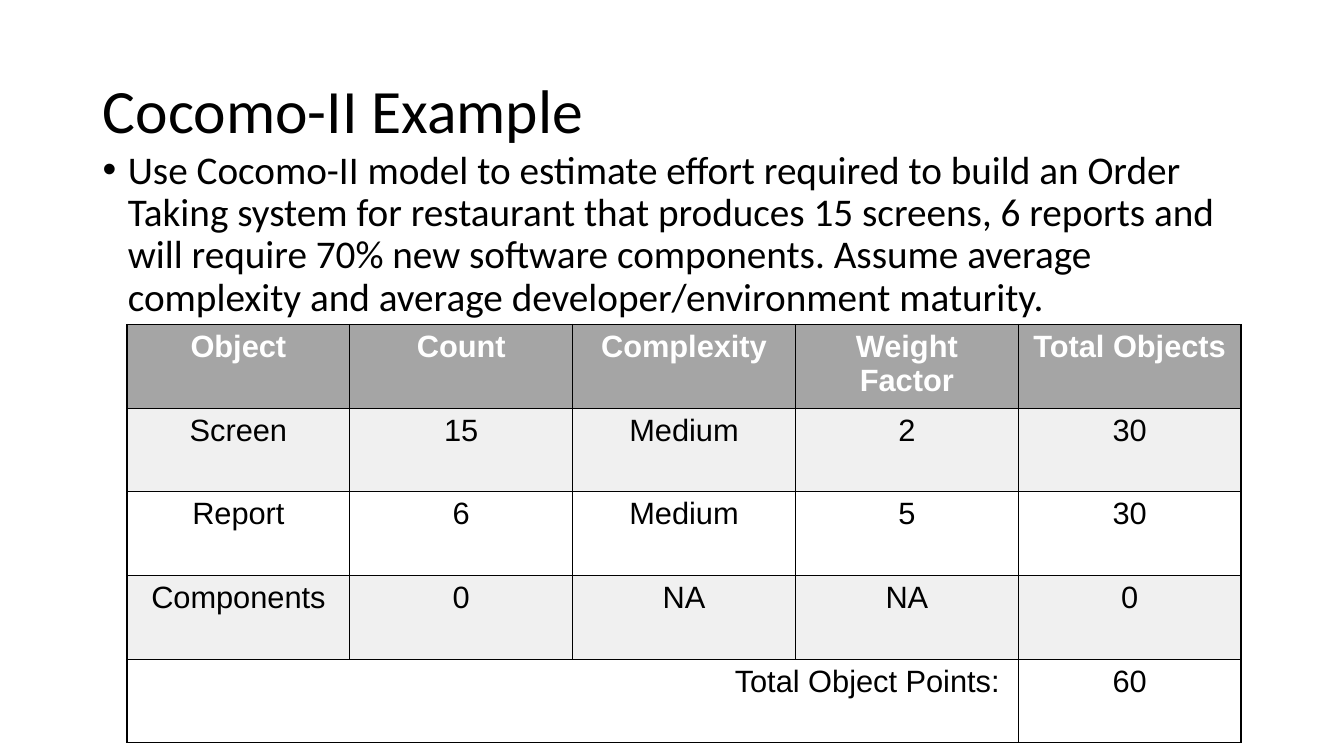
from dataclasses import dataclass

from lxml import etree
from pptx import Presentation
from pptx.dml.color import RGBColor
from pptx.enum import text
from pptx.oxml import ns
from pptx.util import Inches, Pt

TITLE = "Cocomo-II Example"
TASK = (
    "Use Cocomo-II model to estimate effort required to build an Order Taking system "
    "for restaurant that produces 15 screens, 6 reports and will require 70% new "
    "software components. Assume average complexity and average "
    "developer/environment maturity."
)
HEADER = ["Object", "Count", "Complexity", "Weight Factor", "Total Objects"]
OBJECTS = [
    ["Screen", "15", "Medium", "2", "30"],
    ["Report", "6", "Medium", "5", "30"],
    ["Components", "0", "NA", "NA", "0"],
]
TOTAL = ["Total Object Points: ", "", "", "", "60"]


@dataclass(frozen=True)
class Theme:
    body_font: str = "Calibri"
    table_font: str = "Arial"
    title_size: int = 44
    task_size: int = 28
    table_size: int = 22
    ink: str = "000000"
    header_ink: str = "FFFFFF"
    header_fill: str = "A5A5A5"
    band_fills: tuple = ("F0F0F0", "FFFFFF")


THEME = Theme()
TEXT_LEFT, TEXT_WIDTH = 0.92, 11.5
TABLE_LEFT, TABLE_TOP = 1.26, 3.22
COLUMN_WIDTH, ROW_HEIGHT = 2.21, 0.83
BULLET_INDENT = 0.25


def format_runs(paragraph, font, size, color, bold=False):
    for run in paragraph.runs:
        run.font.name = font
        run.font.size = Pt(size)
        run.font.bold = bold
        run.font.color.rgb = RGBColor.from_string(color)


def fill_text(shape, content, size, anchor):
    frame = shape.text_frame
    frame.text = content
    frame.word_wrap = True
    frame.auto_size = text.MSO_AUTO_SIZE.NONE
    frame.vertical_anchor = anchor
    paragraph = frame.paragraphs[0]
    paragraph.alignment = text.PP_ALIGN.LEFT
    paragraph.line_spacing = 0.9
    format_runs(paragraph, THEME.body_font, size, THEME.ink)
    return paragraph


def add_bullet(paragraph):
    properties = paragraph._p.get_or_add_pPr()
    properties.set("marL", str(Inches(BULLET_INDENT)))
    properties.set("indent", str(-Inches(BULLET_INDENT)))
    etree.SubElement(properties, ns.qn("a:buFont"), typeface="Arial")
    etree.SubElement(properties, ns.qn("a:buChar"), char="•")


def add_borders(cell):
    properties = cell._tc.get_or_add_tcPr()
    for side in ("a:lnL", "a:lnR", "a:lnT", "a:lnB"):
        line = etree.SubElement(properties, ns.qn(side), w=str(Pt(1)))
        fill = etree.SubElement(line, ns.qn("a:solidFill"))
        etree.SubElement(fill, ns.qn("a:srgbClr"), val=THEME.ink)


def add_points_table(slide):
    rows = [HEADER, *OBJECTS, TOTAL]
    table = slide.shapes.add_table(
        len(rows), len(HEADER), Inches(TABLE_LEFT), Inches(TABLE_TOP),
        Inches(COLUMN_WIDTH * len(HEADER)), Inches(ROW_HEIGHT * len(rows)),
    ).table
    for column in table.columns:
        column.width = Inches(COLUMN_WIDTH)
    for row_index, values in enumerate(rows):
        table.rows[row_index].height = Inches(ROW_HEIGHT)
        is_header = row_index == 0
        fill = THEME.header_fill if is_header else THEME.band_fills[(row_index - 1) % 2]
        ink = THEME.header_ink if is_header else THEME.ink
        for column_index, value in enumerate(values):
            cell = table.cell(row_index, column_index)
            add_borders(cell)
            cell.fill.solid()
            cell.fill.fore_color.rgb = RGBColor.from_string(fill)
            if value:
                cell.text_frame.text = value
            paragraph = cell.text_frame.paragraphs[0]
            paragraph.alignment = text.PP_ALIGN.CENTER
            format_runs(paragraph, THEME.table_font, THEME.table_size, ink, is_header)
    total_row = len(rows) - 1
    total_label = table.cell(total_row, 0)
    total_label.merge(table.cell(total_row, len(HEADER) - 2))
    total_label.text_frame.paragraphs[0].alignment = text.PP_ALIGN.RIGHT


def main():
    presentation = Presentation()
    presentation.slide_width = Inches(13.33)
    presentation.slide_height = Inches(7.5)
    slide = presentation.slides.add_slide(presentation.slide_layouts[5])

    title = slide.shapes.title
    title.left, title.top = Inches(TEXT_LEFT), Inches(0.4)
    title.width, title.height = Inches(TEXT_WIDTH), Inches(1.45)
    fill_text(title, TITLE, THEME.title_size, text.MSO_ANCHOR.MIDDLE)

    task = slide.shapes.add_textbox(
        Inches(TEXT_LEFT), Inches(1.44), Inches(TEXT_WIDTH), Inches(5.31)
    )
    add_bullet(fill_text(task, TASK, THEME.task_size, text.MSO_ANCHOR.TOP))

    add_points_table(slide)
    presentation.save("out.pptx")


if __name__ == "__main__":
    main()
